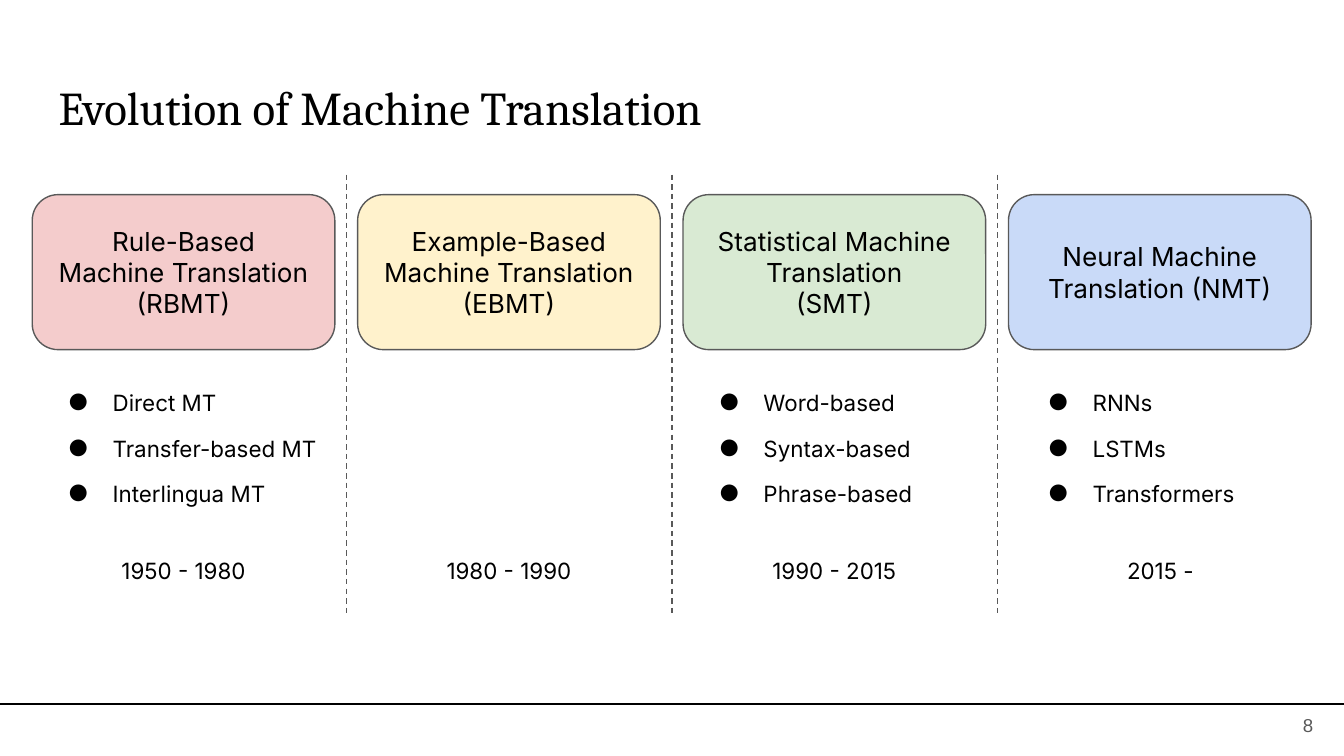
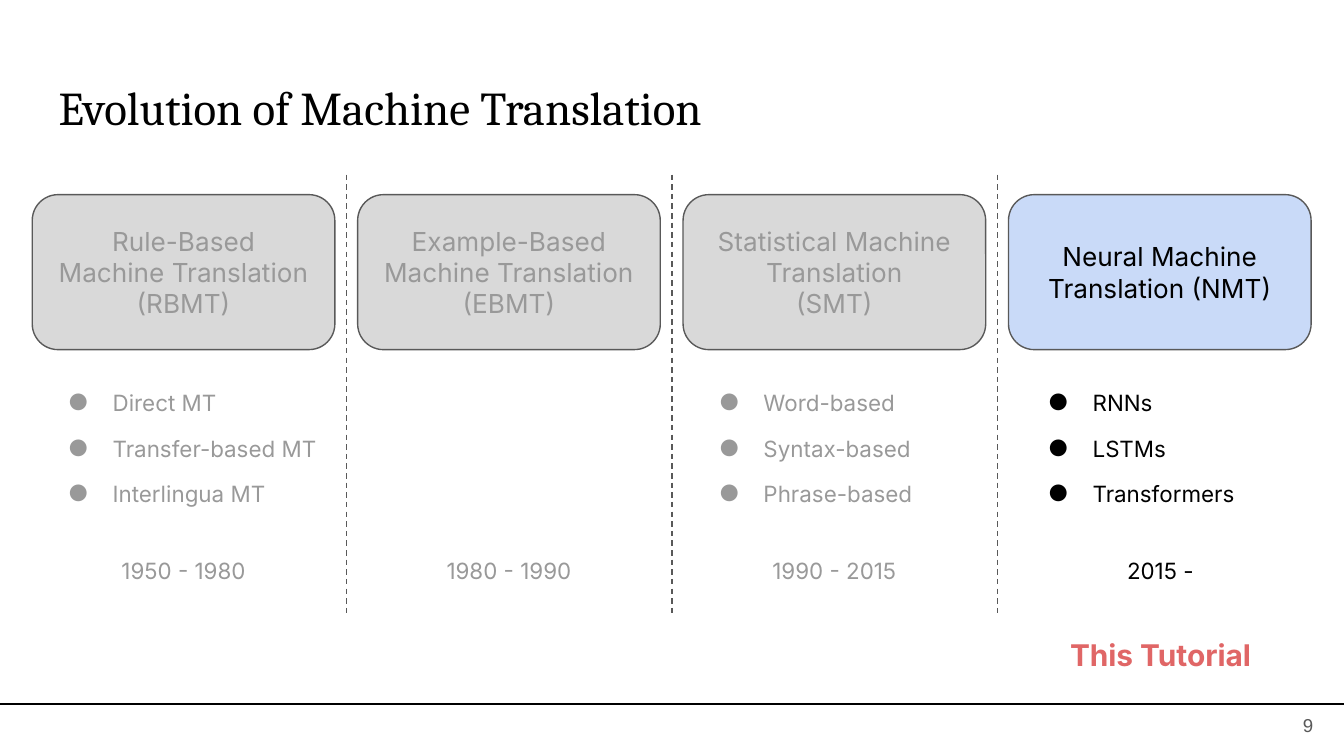
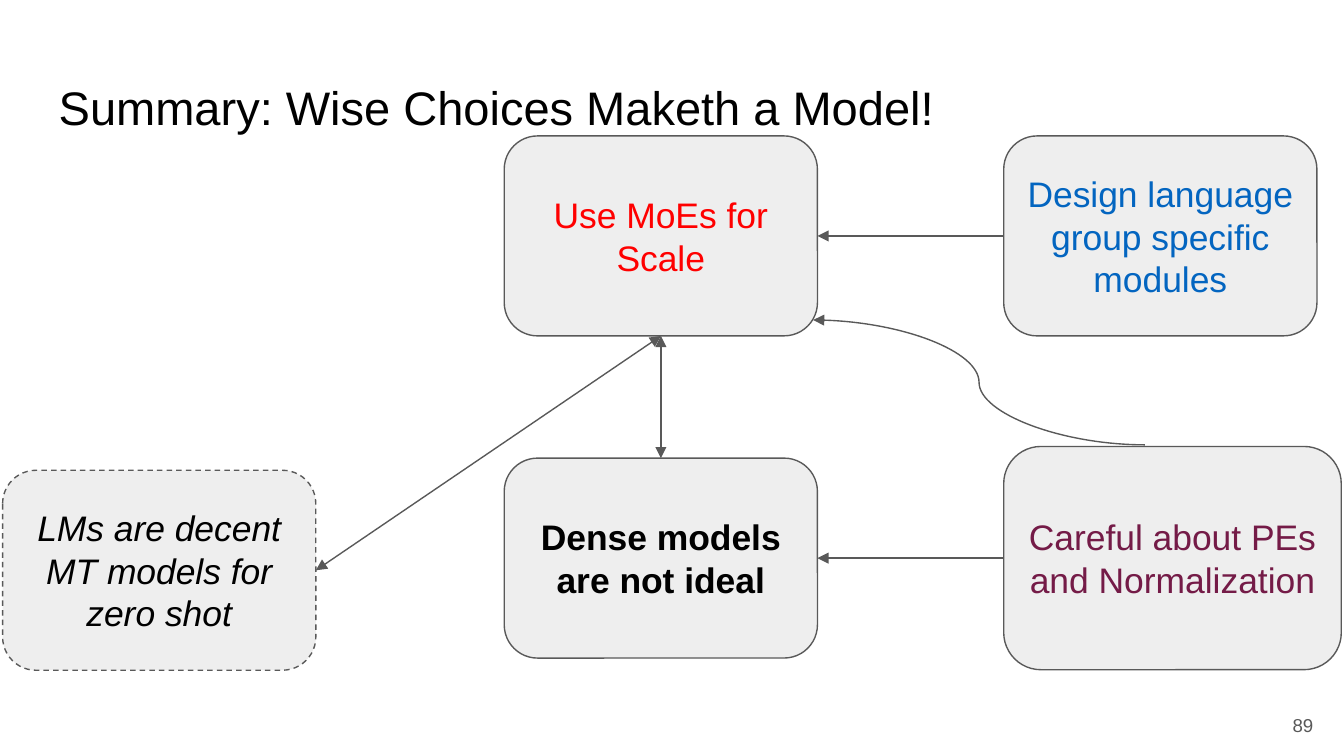
from pptx import Presentation
from pptx.dml.color import RGBColor
from pptx.enum.dml import MSO_LINE_DASH_STYLE as DASH
from pptx.enum.shapes import MSO_CONNECTOR as CONN, MSO_SHAPE
from pptx.enum.text import MSO_ANCHOR as ANCHOR, PP_ALIGN as ALIGN
from pptx.oxml.ns import qn
from pptx.util import Cm, Pt
from lxml.etree import SubElement

BLACK = RGBColor(0x00, 0x00, 0x00)
GREY = RGBColor(0x59, 0x59, 0x59)
MUTED_TEXT = RGBColor(0x99, 0x99, 0x99)
MUTED_FILL = RGBColor(0xD9, 0xD9, 0xD9)
PINK = RGBColor(0xF4, 0xCC, 0xCC)
YELLOW = RGBColor(0xFF, 0xF2, 0xCC)
GREEN = RGBColor(0xD9, 0xEA, 0xD3)
BLUE = RGBColor(0xC9, 0xDA, 0xF8)
CORAL = RGBColor(0xE0, 0x66, 0x66)
PALE = RGBColor(0xEE, 0xEE, 0xEE)
RED = RGBColor(0xFF, 0x00, 0x00)
AZURE = RGBColor(0x03, 0x65, 0xC0)
PLUM = RGBColor(0x74, 0x1B, 0x47)


def add_text(s, text, at, size=12, font="Inter", color=BLACK, bold=False, italic=False,
             align=ALIGN.CENTER, anchor=ANCHOR.TOP, fill=None, dash=None,
             bullet=False, after=0):
    at = [Cm(v) for v in at]
    if fill is None:
        sp = s.shapes.add_textbox(*at)
    else:
        sp = s.shapes.add_shape(MSO_SHAPE.ROUNDED_RECTANGLE, *at)
        sp.shadow.inherit = False
        sp.fill.solid()
        sp.fill.fore_color.rgb = fill
        sp.line.color.rgb = GREY
        sp.line.width = Pt(0.75)
        sp.line.dash_style = dash
    tf = sp.text_frame
    tf.word_wrap = True
    tf.vertical_anchor = anchor
    tf.margin_left = tf.margin_right = tf.margin_top = tf.margin_bottom = Cm(0.25)
    for i, line in enumerate(text.split("\n")):
        p = tf.paragraphs[0] if i == 0 else tf.add_paragraph()
        p.alignment = align
        if bullet:
            pPr = p._p.get_or_add_pPr()
            pPr.set("marL", str(Cm(1.27)))
            pPr.set("indent", str(Cm(-0.84)))
            SubElement(SubElement(pPr, qn("a:buClr")), qn("a:srgbClr"), val=str(color))
            SubElement(pPr, qn("a:buFont"), typeface=font)
            SubElement(pPr, qn("a:buChar"), char="●")
            if i:
                p.space_before = Pt(10)
        r = p.add_run()
        r.text = line
        r.font.size = Pt(size)
        r.font.name = font
        r.font.color.rgb = color
        r.font.bold = bold
        r.font.italic = italic
    if after:
        p.space_after = Pt(after)
    return sp


def add_line(s, x1, y1, x2, y2, kind=CONN.STRAIGHT, color=GREY, dash=None, ends=()):
    c = s.shapes.add_connector(kind, Cm(x1), Cm(y1), Cm(x2), Cm(y2))
    c.line.color.rgb = color
    c.line.width = Pt(0.75)
    c.line.dash_style = dash
    spPr = c._element.spPr
    for end in ends:
        SubElement(spPr.find(qn("a:ln")), qn(f"a:{end}End"), type="triangle")
    SubElement(spPr, qn("a:effectLst"))
    return c


prs = Presentation()
prs.slide_width, prs.slide_height = Cm(25.4), Cm(14.29)

slides = []
for title, font, number, ruled in [
    ("Evolution of Machine Translation", "Cambria", "8", True),
    ("Evolution of Machine Translation", "Cambria", "9", True),
    ("Summary: Wise Choices Maketh a Model!", "Arial", "89", False),
]:
    s = prs.slides.add_slide(prs.slide_layouts[6])
    add_text(s, title, (0.86, 1.24, 23.67, 1.6), size=25.2, font=font, align=ALIGN.LEFT)
    if ruled:
        add_line(s, 0, 13.31, 25.4, 13.31, color=BLACK)
    add_text(s, number, (23.55, 13.16, 1.52, 1.09), size=10, font="Arial", color=GREY,
             align=ALIGN.RIGHT, anchor=ANCHOR.MIDDLE)
    slides.append(s)

LEFT, PITCH, WIDTH = 0.61, 6.15, 5.72
eras = [
    ("Rule-Based\nMachine Translation\n(RBMT)", PINK,
     "Direct MT\nTransfer-based MT\nInterlingua MT", "1950 - 1980"),
    ("Example-Based\nMachine Translation\n(EBMT)", YELLOW, "", "1980 - 1990"),
    ("Statistical Machine Translation\n(SMT)", GREEN,
     "Word-based\nSyntax-based\nPhrase-based", "1990 - 2015"),
    ("Neural Machine Translation (NMT)", BLUE, "RNNs\nLSTMs\nTransformers", "2015 - "),
]
for s, muted_count in zip(slides, (0, 3)):
    for i, (name, fill, methods, years) in enumerate(eras):
        muted = i < muted_count
        color = MUTED_TEXT if muted else BLACK
        x = LEFT + i * PITCH
        text_x = x + 0.07 if i == 3 else x
        add_text(s, name, (x, 3.68, WIDTH, 2.93), size=14, color=color,
                 anchor=ANCHOR.MIDDLE, fill=MUTED_FILL if muted else fill)
        if methods:
            add_text(s, methods, (text_x, 7.11, WIDTH, 2.82), color=color,
                     align=ALIGN.LEFT, bullet=True, after=10)
        add_text(s, years, (text_x, 10.29, WIDTH, 1.14), color=color, after=10)
        if i:
            add_line(s, x - 0.21, 3.3, x - 0.21, 11.66, dash=DASH.DASH)

add_text(slides[1], "This Tutorial", (19.56, 11.81, 4.75, 1.14), size=16, color=CORAL,
         bold=True, anchor=ANCHOR.MIDDLE)

s = slides[2]
card = dict(size=19, font="Arial", anchor=ANCHOR.MIDDLE, fill=PALE)
moe = add_text(s, "Use MoEs for Scale", (9.53, 2.57, 5.92, 3.78), color=RED, **card)
modules = add_text(s, "Design language group specific modules", (18.97, 2.57, 5.92, 3.78),
                   color=AZURE, **card)
dense = add_text(s, "Dense models are not ideal", (9.53, 8.66, 5.92, 3.78), bold=True, **card)
lms = add_text(s, "LMs are decent MT models for zero shot", (0.05, 8.89, 5.92, 3.78),
               italic=True, dash=DASH.DASH, **card)
careful = add_text(s, "Careful about PEs and Normalization", (18.97, 8.44, 6.38, 4.22),
                   color=PLUM, **card)

for start, start_site, stop, stop_site, kind, ends in [
    (dense, 0, moe, 2, CONN.STRAIGHT, ("head", "tail")),
    (lms, 3, moe, 2, CONN.STRAIGHT, ("head", "tail")),
    (modules, 1, moe, 3, CONN.STRAIGHT, ("tail",)),
    (careful, 1, dense, 3, CONN.CURVE, ("tail",)),
]:
    c = add_line(s, 0, 0, 1, 1, kind=kind, ends=ends)
    c.begin_connect(start, start_site)
    c.end_connect(stop, stop_site)
add_line(s, 21.64, 8.41, 15.37, 6.05, kind=CONN.CURVE, ends=("tail",))

prs.save("out.pptx")
